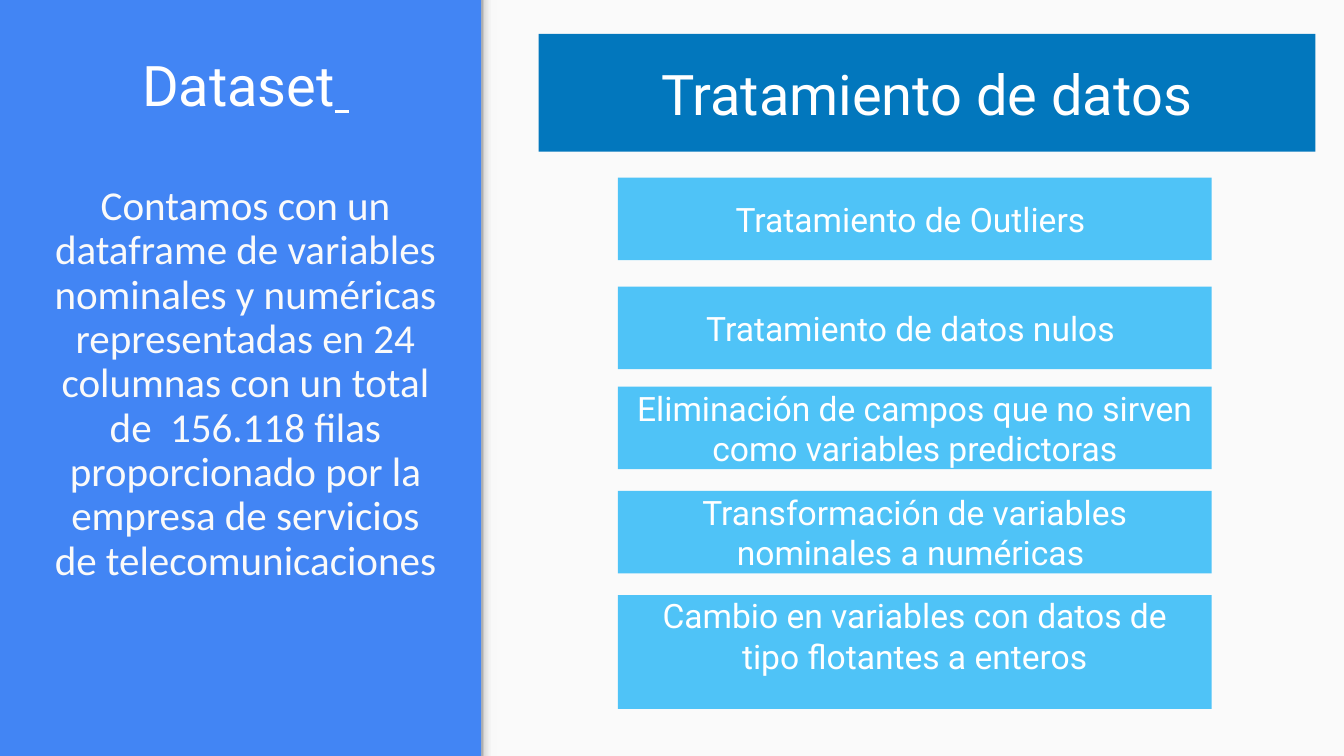
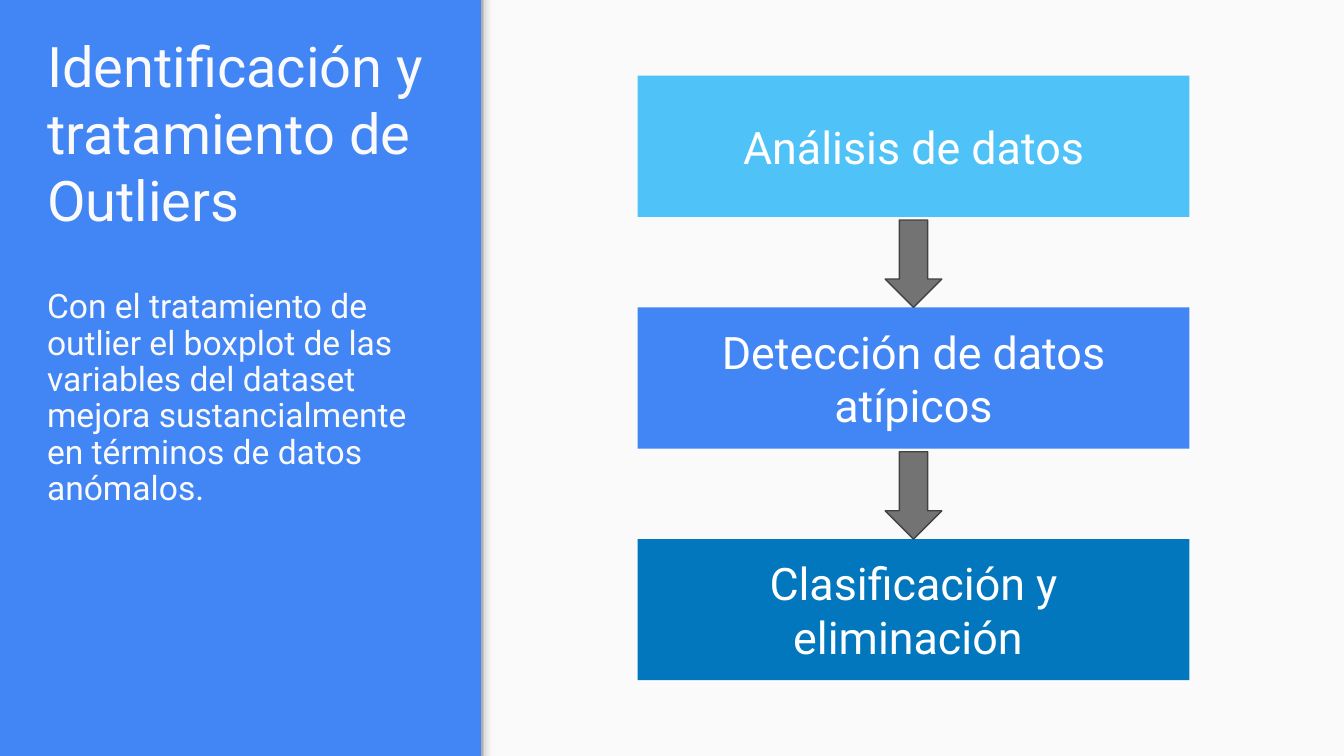
from pptx import Presentation
from pptx.dml.color import RGBColor
from pptx.enum.shapes import MSO_SHAPE
from pptx.enum.text import MSO_ANCHOR, PP_ALIGN
from pptx.oxml import parse_xml
from pptx.oxml.ns import nsdecls, qn
from pptx.util import Cm, Pt

BLUE = RGBColor(0x42, 0x85, 0xF4)
LIGHT_BLUE = RGBColor(0x4F, 0xC3, 0xF7)
DARK_BLUE = RGBColor(0x02, 0x77, 0xBD)
WHITE = RGBColor(0xFF, 0xFF, 0xFF)
OFF_WHITE = RGBColor(0xFA, 0xFA, 0xFA)
GREY = RGBColor(0x73, 0x73, 0x73)
DARK_GREY = RGBColor(0x42, 0x42, 0x42)
EDGE_STOPS = [(0, "999999"), (20, "DEDEDE"), (64, "F9F9F9"), (100, "F9F9F9")]

SLIDE_WIDTH, SLIDE_HEIGHT = 25.4, 14.29
SIDEBAR_WIDTH = 9.1
TITLE_SIZE = 30


def write_text(shape, text, size, color=WHITE, font="Roboto", align=PP_ALIGN.CENTER,
               anchor=MSO_ANCHOR.MIDDLE, line_spacing=None, margin_top=0.25):
    """Fill the shape with one formatted paragraph and return it."""
    frame = shape.text_frame
    frame.word_wrap = True
    frame.vertical_anchor = anchor
    frame.margin_left = frame.margin_right = frame.margin_bottom = Cm(0.25)
    frame.margin_top = Cm(margin_top)
    paragraph = frame.paragraphs[0]
    paragraph.text = text
    paragraph.alignment = align
    paragraph.line_spacing = line_spacing
    paragraph.font.name = font
    paragraph.font.size = Pt(size)
    for run in paragraph.runs:
        run.font.name = font
        run.font.size = Pt(size)
        run.font.color.rgb = color
    return paragraph


def add_text(slide, box, text, **text_format):
    shape = slide.shapes.add_textbox(*map(Cm, box))
    return write_text(shape, text, **text_format)


def add_block(slide, box, fill, kind=MSO_SHAPE.RECTANGLE):
    shape = slide.shapes.add_shape(kind, *map(Cm, box))
    shape.shadow.inherit = False
    shape.fill.solid()
    shape.fill.fore_color.rgb = fill
    shape.line.fill.background()
    return shape


def add_split_slide(presentation):
    """Blue slide with a light panel on the right and a soft edge between them."""
    slide = presentation.slides.add_slide(presentation.slide_layouts[6])
    slide.background.fill.solid()
    slide.background.fill.fore_color.rgb = BLUE
    add_block(slide, (SIDEBAR_WIDTH, 0, SLIDE_WIDTH - SIDEBAR_WIDTH, SLIDE_HEIGHT), OFF_WHITE)

    # Edge that fades from grey into the panel
    edge = add_block(slide, (SIDEBAR_WIDTH, 0, 0.3, SLIDE_HEIGHT), OFF_WHITE)
    edge.fill.gradient()
    edge.fill.gradient_angle = 0
    stops = "".join(
        f'<a:gs pos="{position * 1000}"><a:srgbClr val="{color}"/></a:gs>'
        for position, color in EDGE_STOPS)
    stop_list = edge.element.spPr.find(".//" + qn("a:gsLst"))
    stop_list.getparent().replace(
        stop_list, parse_xml(f'<a:gsLst {nsdecls("a")}>{stops}</a:gsLst>'))
    return slide


def add_treatment_list(slide, left, top, width):
    """Header with the list of data treatments below it."""
    header = add_block(slide, (left, top, width, 2.23), DARK_BLUE)
    write_text(header, "Tratamiento de datos", size=TITLE_SIZE)

    treatments = [
        (2.72, "Tratamiento de Outliers "),
        (4.78, "Tratamiento de datos nulos "),
        (6.67, "Eliminación de campos que no sirven como variables predictoras"),
        (8.64, "Transformación de variables nominales a numéricas "),
    ]
    item_left, item_width = left + 1.5, 11.22
    for offset, text in treatments:
        item = add_block(slide, (item_left, top + offset, item_width, 1.56), LIGHT_BLUE)
        write_text(item, text, size=18)

    # The last item is taller and its text starts at the upper edge
    last_item = add_block(slide, (item_left, top + 10.61, item_width, 2.15), LIGHT_BLUE)
    write_text(last_item, "Cambio en variables con datos de tipo flotantes a enteros",
               size=18, anchor=MSO_ANCHOR.TOP, margin_top=0)


def add_process(slide, left, top, width):
    """Vertical steps joined by arrows."""
    steps = [
        ("Análisis de datos", LIGHT_BLUE),
        ("Detección de datos atípicos", BLUE),
        ("Clasificación y eliminación ", DARK_BLUE),
    ]
    pitch, step_height = 4.38, 2.67
    arrow_width, arrow_height = 1.07, 1.65
    for index, (text, fill) in enumerate(steps):
        step_top = top + index * pitch
        step = add_block(slide, (left, step_top, width, step_height), fill)
        write_text(step, text, size=24)
        if index:
            arrow = add_block(
                slide,
                (left + (width - arrow_width) / 2, step_top - arrow_height,
                 arrow_width, arrow_height),
                GREY, MSO_SHAPE.DOWN_ARROW)
            arrow.line.color.rgb = DARK_GREY
            arrow.line.width = Pt(0.75)


def build_dataset_slide(presentation):
    slide = add_split_slide(presentation)

    # Sidebar
    title = add_text(slide, (0.74, 0.64, 7.8, 1.9), "Dataset", size=TITLE_SIZE)
    cursor = title.add_run()
    cursor.text = " "
    cursor.font.name = "Roboto"
    cursor.font.size = Pt(TITLE_SIZE)
    cursor.font.color.rgb = WHITE
    cursor.font.underline = True
    add_text(slide, (0.74, 3.25, 7.8, 8.48),
             "Contamos con un dataframe de variables nominales y numéricas "
             "representadas en 24 columnas con un total de  156.118 filas "
             "proporcionado por la empresa de servicios de telecomunicaciones",
             size=22, color=OFF_WHITE, font="Calibri",
             anchor=MSO_ANCHOR.TOP, line_spacing=0.9)

    # Panel
    add_treatment_list(slide, left=10.18, top=0.64, width=14.68)


def build_outliers_slide(presentation):
    slide = add_split_slide(presentation)

    # Sidebar
    add_text(slide, (0.64, 0.99, 7.8, 3.66), "Identificación y tratamiento de Outliers",
             size=TITLE_SIZE, color=OFF_WHITE, align=PP_ALIGN.LEFT, anchor=MSO_ANCHOR.BOTTOM)
    add_text(slide, (0.64, 5.23, 7.8, 3),
             "Con el tratamiento de outlier el boxplot de las variables del dataset "
             "mejora sustancialmente en términos de datos anómalos.",
             size=18, color=OFF_WHITE, align=PP_ALIGN.LEFT,
             anchor=MSO_ANCHOR.TOP, line_spacing=0.9)

    # Panel
    add_process(slide, left=12.05, top=1.43, width=10.43)


def main():
    presentation = Presentation()
    presentation.slide_width = Cm(SLIDE_WIDTH)
    presentation.slide_height = Cm(SLIDE_HEIGHT)
    build_dataset_slide(presentation)
    build_outliers_slide(presentation)
    presentation.save("out.pptx")


if __name__ == "__main__":
    main()
